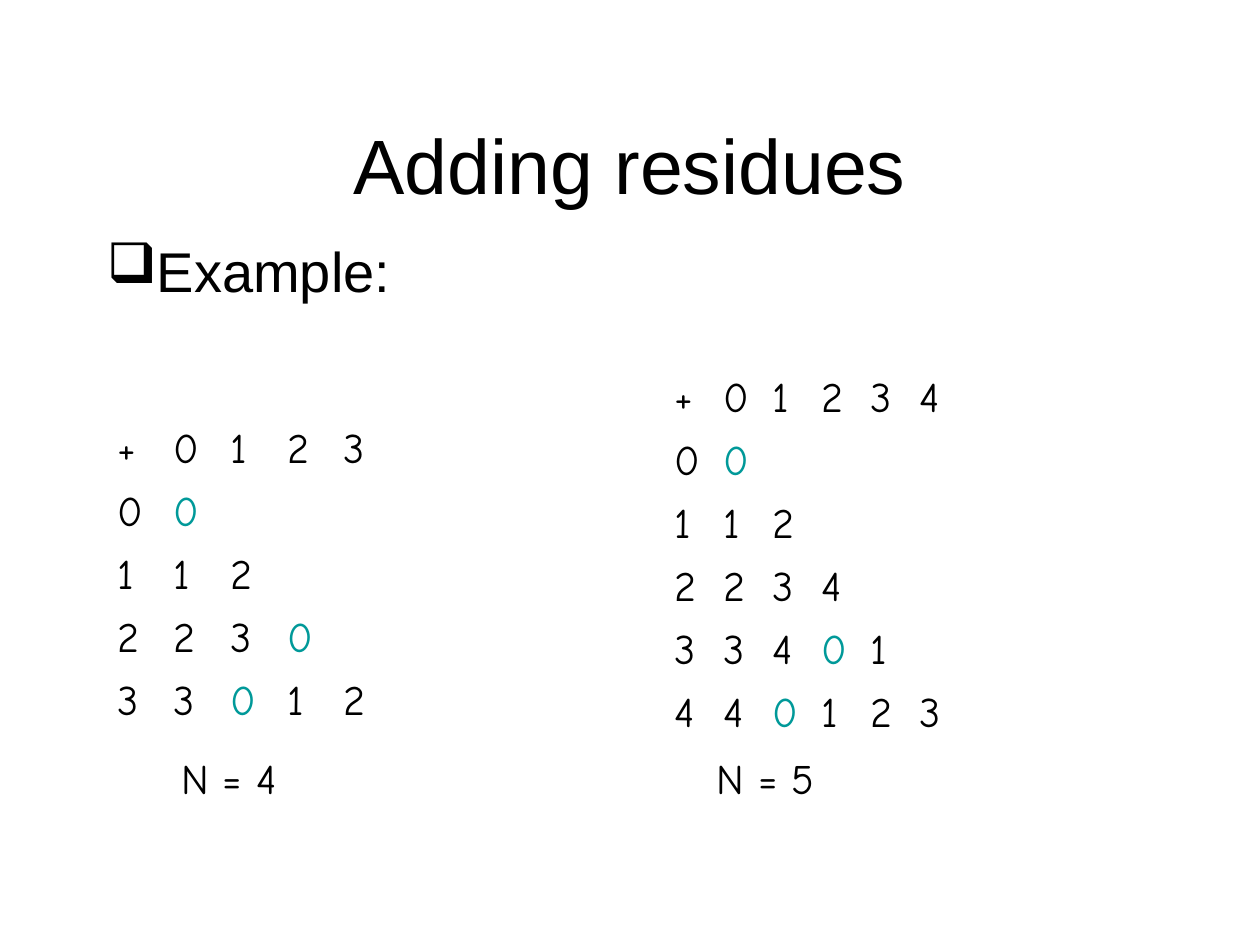
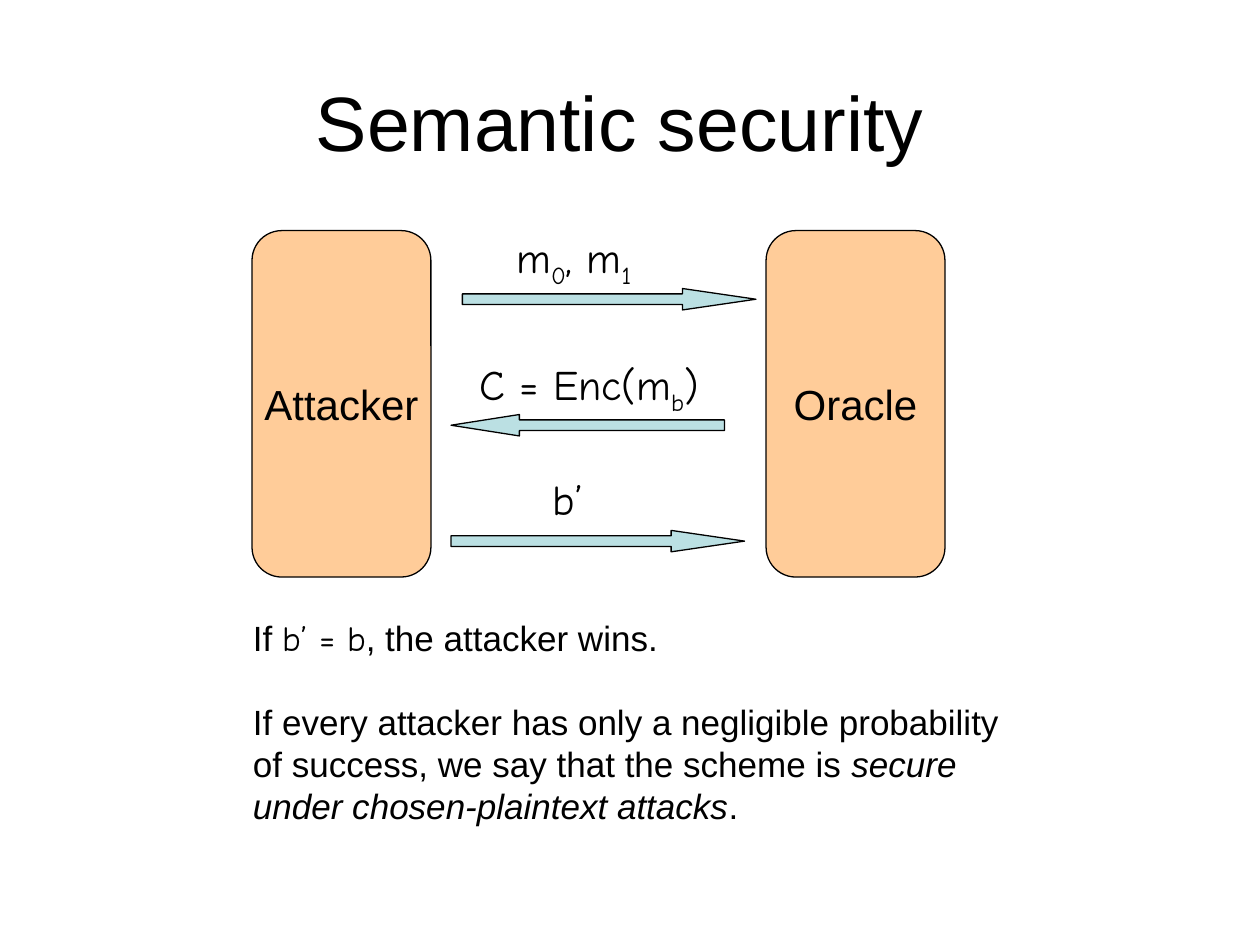
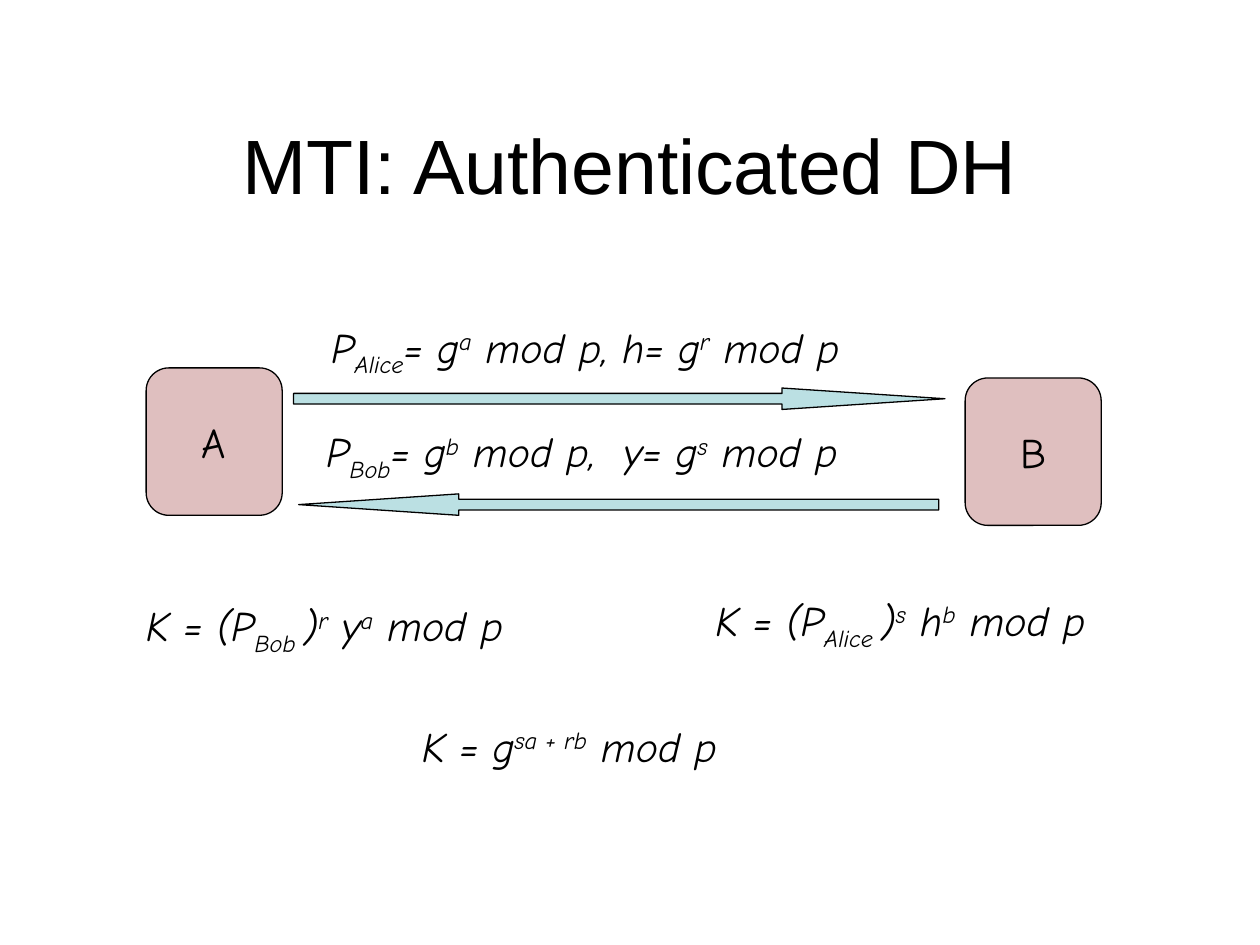
from lxml.etree import SubElement
from pptx import Presentation
from pptx.dml.color import RGBColor
from pptx.enum.shapes import MSO_SHAPE as Preset
from pptx.enum.text import MSO_ANCHOR as Anchor, PP_ALIGN as Align
from pptx.oxml.ns import qn
from pptx.util import Inches, Pt

COLORS = {
    "text": "000000",
    "zero": "009999",
    "party": "FFCC99",
    "peer": "800000",
    "arrow": "BBE0E3",
}
SANS = "Arial"
COMIC = "Comic Neue"
TITLE = {"name": SANS, "size": Pt(44)}
BODY = {"name": SANS, "size": Pt(32)}
LABEL = {"name": SANS, "size": Pt(24)}
NOTE = {"name": SANS, "size": Pt(20)}
MATH = {"name": COMIC, "size": Pt(24)}
MATH_ITALIC = {**MATH, "italic": True}
BASELINES = {"_": "-25000", "^": "30000"}
HEAD_SHARE = 0.25
BULLET_INDENT = 0.38
ROW_HEIGHT = 0.5


def rgb(name):
    return RGBColor.from_string(COLORS[name])


def to_inches(box):
    return [Inches(length) for length in box]


def apply(target, values):
    for name, value in values.items():
        setattr(target, name, value)


def add_run(paragraph, text, style, color="text", baseline=None):
    run = paragraph.add_run()
    run.text = text
    apply(run.font, style)
    run.font.color.rgb = rgb(color)
    if baseline:
        run._r.get_or_add_rPr().set("baseline", baseline)


def add_formula(paragraph, formula, style):
    for part in formula.split("|"):
        baseline = BASELINES.get(part[0])
        add_run(paragraph, part[1:] if baseline else part, style, baseline=baseline)


def add_text_box(shapes, box, anchor=Anchor.TOP):
    frame = shapes.add_textbox(*to_inches(box)).text_frame
    apply(frame, {"word_wrap": True, "vertical_anchor": anchor})
    return frame


def add_title(slide, text, box=(0.75, 0.67, 8.5, 1.25)):
    paragraph = add_text_box(slide.shapes, box, Anchor.MIDDLE).paragraphs[0]
    paragraph.alignment = Align.CENTER
    add_run(paragraph, text, TITLE)


def add_label(shapes, box, formula, style=MATH, indent=0):
    paragraph = add_text_box(shapes, box).paragraphs[0]
    if indent:
        paragraph._p.get_or_add_pPr().set("marL", str(Inches(indent)))
    add_formula(paragraph, formula, style)


def add_bullet(slide, box, text):
    paragraph = add_text_box(slide.shapes, box).paragraphs[0]
    paragraph.space_before = Pt(8)
    properties = paragraph._p.get_or_add_pPr()
    properties.set("marL", str(Inches(BULLET_INDENT)))
    properties.set("indent", str(-Inches(BULLET_INDENT)))
    SubElement(properties, qn("a:buChar")).set("char", "❑")
    add_run(paragraph, text, BODY)


def add_panel(shapes, preset, box, fill, alpha=None):
    shape = shapes.add_shape(preset, *to_inches(box))
    shape.shadow.inherit = False
    shape.fill.solid()
    shape.fill.fore_color.rgb = rgb(fill)
    shape.line.color.rgb = rgb("text")
    shape.line.width = Pt(0.75)
    if alpha:
        color = shape.fill._xPr.find(qn("a:solidFill"))[0]
        SubElement(color, qn("a:alpha")).set("val", str(alpha * 1000))
    return shape


def add_party(slide, box, name, style, fill, alpha=None):
    shape = add_panel(slide.shapes, Preset.ROUNDED_RECTANGLE, box, fill, alpha)
    frame = shape.text_frame
    apply(frame, {"word_wrap": False, "vertical_anchor": Anchor.MIDDLE})
    paragraph = frame.paragraphs[0]
    paragraph.alignment = Align.CENTER
    add_run(paragraph, name, style)


def add_message(slide, preset, arrow_box, label_box, formula, style=MATH, indent=0):
    shapes = slide.shapes.add_group_shape().shapes
    arrow = add_panel(shapes, preset, arrow_box, "arrow")
    width, height = arrow_box[2:]
    arrow.adjustments[1] = HEAD_SHARE * width / height
    left, top = arrow_box[:2]
    dx, dy, label_width, label_height = label_box
    add_label(shapes, (left + dx, top + dy, label_width, label_height),
              formula, style, indent)


def add_residue_table(slide, left, top, modulus, widths):
    count = modulus + 1
    box = (left, top, sum(widths), ROW_HEIGHT * count)
    table = slide.shapes.add_table(count, count, *to_inches(box)).table
    apply(table, {"first_row": False, "horz_banding": False})
    for column, width in zip(table.columns, widths):
        column.width = Inches(width)
    for cell in table.iter_cells():
        cell.fill.background()

    def write(row, column, value, color="text"):
        paragraph = table.cell(row, column).text_frame.paragraphs[0]
        add_run(paragraph, str(value), MATH, color)

    write(0, 0, "+")
    for first in range(modulus):
        write(0, first + 1, first)
        write(first + 1, 0, first)
        for second in range(first + 1):
            residue = (first + second) % modulus
            write(first + 1, second + 1, residue, "text" if residue else "zero")


def add_conclusion(slide, box):
    italic = {**NOTE, "italic": True}
    lines = [
        [("If ", NOTE), ("b’ = b", {**NOTE, "name": COMIC}),
         (", the attacker wins.", NOTE)],
        [("If every attacker has only a negligible probability", NOTE)],
        [("of success, we say that the scheme is ", NOTE), ("secure", italic)],
        [("under chosen-plaintext attacks", italic), (".", NOTE)],
    ]
    frame = add_text_box(slide.shapes, box)
    for index, line in enumerate(lines):
        paragraph = frame.add_paragraph() if index else frame.paragraphs[0]
        if index == 1:
            paragraph.space_before = Pt(24)
        for text, style in line:
            add_run(paragraph, text, style)


def build_residues(slide):
    add_title(slide, "Adding residues")
    add_bullet(slide, (0.75, 1.83, 8.5, 4.5), "Example:")
    add_residue_table(slide, 0.83, 3.33, 4, [0.45] * 5)
    add_residue_table(slide, 5.25, 2.92, 5, [0.39] * 5 + [0.79])
    for left, modulus in ((5.59, 5), (1.34, 4)):
        add_label(slide.shapes, (left, 5.92, 1.2, 0.5), f"N = {modulus}")


def build_semantic_security(slide):
    add_title(slide, "Semantic security", (0.67, 0.33, 8.5, 1.25))
    for left, name in ((2, "Attacker"), (6.08, "Oracle")):
        add_party(slide, (left, 1.83, 1.42, 2.75), name, LABEL, "party")
    add_message(slide, Preset.RIGHT_ARROW, (3.67, 2.29, 2.33, 0.17),
                (0.33, -0.5, 1.23, 1.01), "m|_0|, m|_1")
    add_message(slide, Preset.LEFT_ARROW, (3.58, 3.29, 2.17, 0.17),
                (0.13, -0.49, 2.32, 0.56), "C = Enc(m|_b|)")
    add_message(slide, Preset.RIGHT_ARROW, (3.58, 4.21, 2.33, 0.17),
                (0.34, -0.5, 1.08, 0.5), "b’", indent=0.37)
    add_conclusion(slide, (1.91, 4.84, 6.2, 1.77))


def build_authenticated_exchange(slide):
    add_title(slide, "MTI: Authenticated DH")
    for left, top, name in ((1.16, 2.92, "A"), (7.66, 3, "B")):
        add_party(slide, (left, top, 1.08, 1.17), name, MATH, "peer", 25)
    add_message(slide, Preset.RIGHT_ARROW, (2.33, 3.08, 5.17, 0.17),
                (0.2, -0.58, 4.88, 0.96),
                "P|_Alice|= g|^a| mod p, h= g|^r| mod p", MATH_ITALIC)
    add_message(slide, Preset.LEFT_ARROW, (2.37, 3.92, 5.08, 0.17),
                (0.12, -0.59, 4.84, 0.96),
                "P|_Bob|= g|^b| mod p,  y= g|^s| mod p", MATH_ITALIC)
    keys = [
        ((1.06, 4.71, 3.61, 0.96), "K = (P|_Bob |)|^r| y|^a| mod p"),
        ((5.58, 4.67, 3.67, 0.96), "K = (P|_Alice |)|^s| h|^b| mod p"),
        ((3.25, 5.67, 3.08, 0.9), "K = g|^sa + rb| mod p"),
    ]
    for box, formula in keys:
        add_label(slide.shapes, box, formula, MATH_ITALIC)


def main():
    presentation = Presentation()
    apply(presentation, {"slide_width": Inches(10), "slide_height": Inches(7.5)})
    blank = presentation.slide_layouts[6]
    for build in (build_residues, build_semantic_security,
                  build_authenticated_exchange):
        build(presentation.slides.add_slide(blank))
    presentation.save("out.pptx")


if __name__ == "__main__":
    main()
